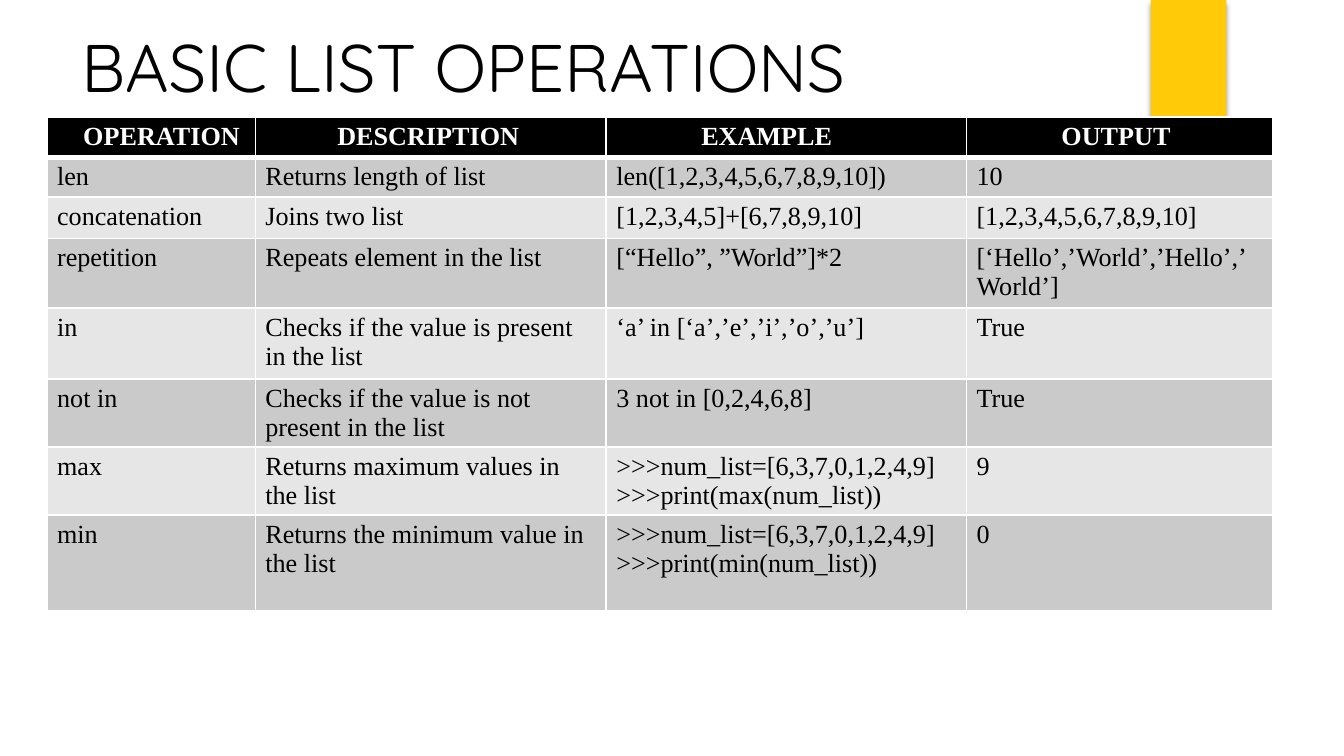
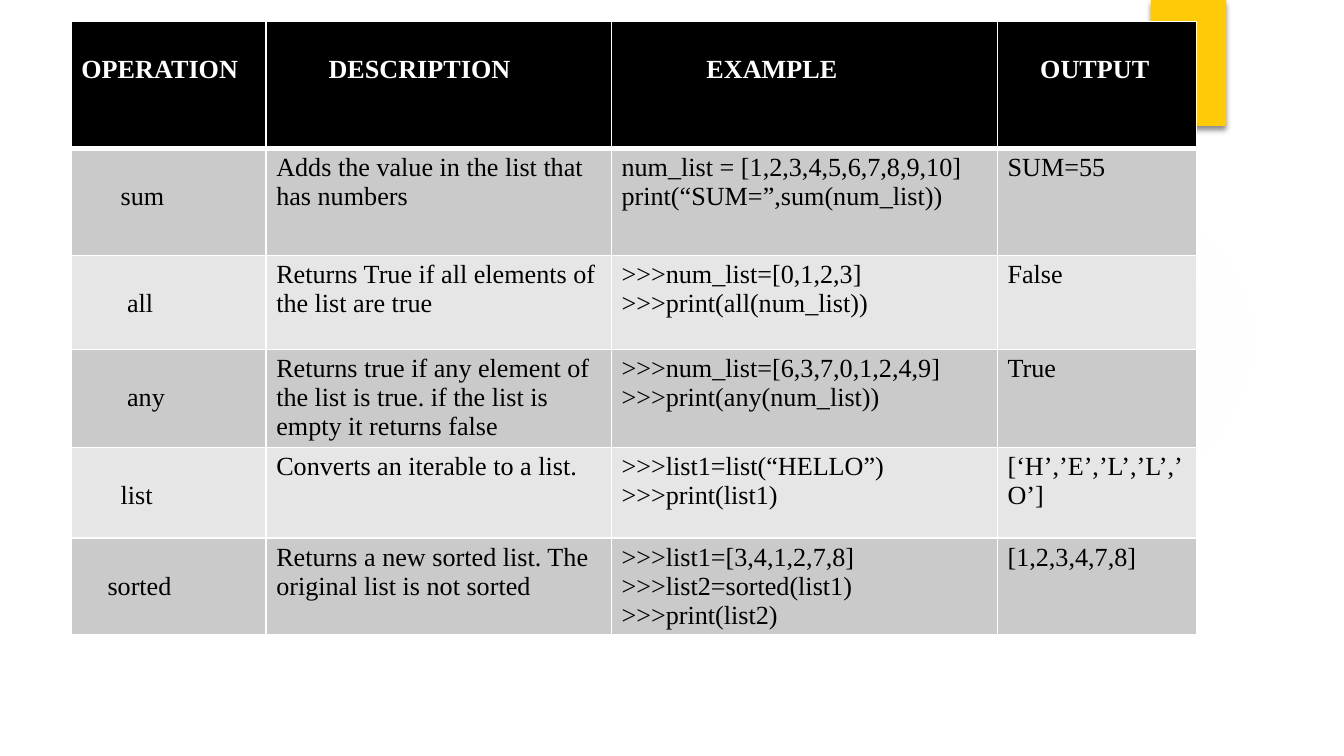
"""Build two slides that tabulate the basic list operations."""
from lxml import etree
from pptx import Presentation
from pptx.dml.color import RGBColor
from pptx.enum import shapes, text
from pptx.util import Pt

NS = "http://schemas.openxmlformats.org/drawingml/2006/main"
BLACK, WHITE, GOLD, CREAM = "000000", "FFFFFF", "FFCA08", "F4F1F0"
DARK, LIGHT = "CACACA", "E6E6E6"
FONT, SIZE = "Times New Roman", 14
SIDE, EDGE, SPACE, LINE = 5.4, 2.7, 3.5, 15.5


def paint(item, color):
    """Give a fill or a line a solid colour."""
    item.solid()
    item.fore_color.rgb = RGBColor.from_string(color)


def add_xml(parent, xml):
    """Append a DrawingML fragment to an element."""
    parent.append(etree.fromstring(f'<a:root xmlns:a="{NS}">{xml}</a:root>')[0])


heads = ["OPERATION", "DESCRIPTION", "EXAMPLE", "OUTPUT"]
pages = [
    dict(title="BASIC LIST OPERATIONS", left=25.2, top=62.7, drop=0,
         cols=[111.6, 188, 193, 164],
         rows=[21.5, 21.5, 22, 37.5, 38, 36.4, 36.4, 51.5],
         heads=[4, 11, 13, 13], names=[0] * 7,
         cells=[
             ["len", "Returns length of list", "len([1,2,3,4,5,6,7,8,9,10])", "10"],
             ["concatenation", "Joins two list", "[1,2,3,4,5]+[6,7,8,9,10]",
              "[1,2,3,4,5,6,7,8,9,10]"],
             ["repetition", "Repeats element in the list", "[“Hello”, ”World”]*2",
              "[‘Hello’,’World’,’Hello’,’World’]"],
             ["in", "Checks if the value is present in the list",
              "‘a’ in [‘a’,’e’,’i’,’o’,’u’]", "True"],
             ["not in", "Checks if the value is not present in the list",
              "3 not in [0,2,4,6,8]", "True"],
             ["max", "Returns maximum values in the list",
              ">>>num_list=[6,3,7,0,1,2,4,9]\n>>>print(max(num_list))", "9"],
             ["min", "Returns the minimum value in the list",
              ">>>num_list=[6,3,7,0,1,2,4,9]\n>>>print(min(num_list))", "0"],
         ]),
    dict(title=None, left=38.2, top=11.5, drop=LINE,
         cols=[104.4, 185, 206.8, 106.5],
         rows=[68, 57.3, 50.4, 52.5, 48.6, 52],
         heads=[0, 8, 13, 5], names=[6, 7, 7, 6, 4],
         cells=[
             ["sum", "Adds the value in the list that has numbers",
              "num_list = [1,2,3,4,5,6,7,8,9,10]\nprint(“SUM=”,sum(num_list))", "SUM=55"],
             ["all", "Returns True if all elements of the list are true",
              ">>>num_list=[0,1,2,3]\n>>>print(all(num_list))", "False"],
             ["any", "Returns true if any element of the list is true. "
              "if the list is empty it returns false",
              ">>>num_list=[6,3,7,0,1,2,4,9]\n>>>print(any(num_list))", "True"],
             ["list", "Converts an iterable to a list.",
              ">>>list1=list(“HELLO”)\n>>>print(list1)", "[‘H’,’E’,’L’,’L’,’O’]"],
             ["sorted", "Returns a new sorted list. The original list is not sorted",
              ">>>list1=[3,4,1,2,7,8]\n>>>list2=sorted(list1)\n>>>print(list2)",
              "[1,2,3,4,7,8]"],
         ]),
]

deck = Presentation()
deck.slide_width, deck.slide_height = Pt(720), Pt(405)

for page in pages:
    slide = deck.slides.add_slide(deck.slide_layouts[5 if page["title"] else 6])

    glow = slide.shapes.add_shape(shapes.MSO_SHAPE.OVAL, Pt(508.5), Pt(99.5), Pt(166.5), Pt(166.5))
    glow.shadow.inherit = False
    glow.line.fill.background()
    stops = "".join(
        f'<a:gs pos="{spot * 1000}"><a:srgbClr val="{CREAM}">'
        f'<a:alpha val="{alpha * 1000}"/></a:srgbClr></a:gs>'
        for spot, alpha in [(0, 7), (36, 6), (69, 0), (100, 0)])
    add_xml(glow._element.spPr,
            f'<a:gradFill><a:gsLst>{stops}</a:gsLst><a:path path="circle">'
            '<a:fillToRect l="50000" t="50000" r="50000" b="50000"/></a:path></a:gradFill>')
    props = glow._element.spPr
    props.insert(2, props[-1])

    band = slide.shapes.add_shape(shapes.MSO_SHAPE.RECTANGLE, Pt(616.5), 0, Pt(40.5), Pt(67.5))
    band.shadow.inherit = False
    paint(band.fill, GOLD)
    band.line.fill.background()
    add_xml(band._element.spPr.find(f"{{{NS}}}effectLst"),
            f'<a:outerShdw blurRad="{Pt(3)}" dist="{Pt(2)}" dir="5400000">'
            f'<a:srgbClr val="{BLACK}"><a:alpha val="45000"/></a:srgbClr></a:outerShdw>')

    if page["title"]:
        title = slide.shapes.title
        title.left, title.top, title.width, title.height = Pt(38.2), Pt(11), Pt(555), Pt(48)
        frame = title.text_frame
        frame.text = page["title"]
        frame.margin_left = frame.margin_right = Pt(SIDE)
        frame.margin_top = frame.margin_bottom = Pt(EDGE)
        frame.vertical_anchor = text.MSO_ANCHOR.MIDDLE
        para = frame.paragraphs[0]
        para.alignment = text.PP_ALIGN.LEFT
        para.font.name, para.font.size = "Quicksand", Pt(36)
        paint(para.font.fill, BLACK)

    rows, cols = page["rows"], page["cols"]
    table = slide.shapes.add_table(len(rows), len(cols), Pt(page["left"]), Pt(page["top"]),
                                   Pt(sum(cols)), Pt(sum(rows))).table
    for col, width in zip(table.columns, cols):
        col.width = Pt(width)
    for row, height in zip(table.rows, rows):
        row.height = Pt(height)

    for r, words in enumerate([heads] + page["cells"]):
        head = r == 0
        for c, word in enumerate(words):
            cell = table.cell(r, c)
            cell.text = word
            pad = page["heads"][c] if head else page["names"][r - 1] if c == 0 else 0
            drop = page["drop"] if head or c == 0 else 0
            cell.margin_left, cell.margin_right = Pt(SIDE + pad * SPACE), Pt(SIDE)
            cell.margin_top, cell.margin_bottom = Pt(EDGE + drop), Pt(EDGE)
            for side in "LRTB":
                thick = 3 if (head and side == "B") or (r == 1 and side == "T") else 1
                add_xml(cell._tc.get_or_add_tcPr(),
                        f'<a:ln{side} w="{Pt(thick)}"><a:solidFill>'
                        f'<a:srgbClr val="{WHITE}"/></a:solidFill></a:ln{side}>')
            paint(cell.fill, BLACK if head else DARK if r % 2 else LIGHT)
            for para in cell.text_frame.paragraphs:
                para.font.name, para.font.size, para.font.bold = FONT, Pt(SIZE), head
                paint(para.font.fill, WHITE if head else BLACK)

deck.save("out.pptx")
